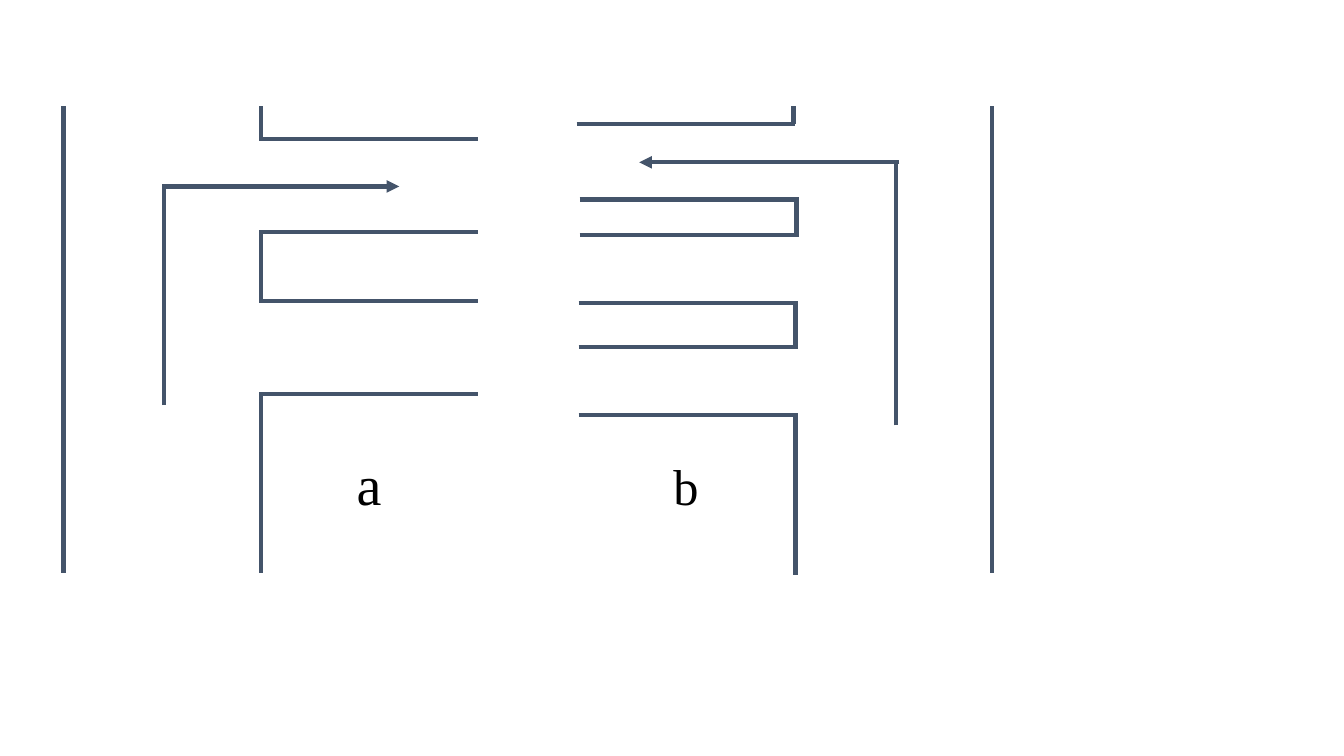
from lxml import etree
from pptx import Presentation
from pptx.dml.color import RGBColor
from pptx.enum.shapes import MSO_CONNECTOR
from pptx.oxml.ns import qn
from pptx.util import Inches, Pt

STRAIGHT = MSO_CONNECTOR.STRAIGHT
SLATE = RGBColor(0x44, 0x54, 0x6A)
BLACK = RGBColor(0, 0, 0)
FONT = "Times New Roman"
BRANCH_LENGTH = 2.17
VESSEL_TOP = 1.05
VESSEL_BOTTOM = 5.68

OUTER_WALLS = (0.63, 9.84)
LEFT_BRANCHES = [(2.57, y) for y in (3.91, 2.99, 2.3, 1.38)]
RIGHT_BRANCHES = [(5.74, 4.12), (5.74, 3.44), (5.74, 3.01),
                  (5.75, 2.33), (5.75, 1.98), (5.72, 1.23)]
INNER_WALLS = [
    (2.59, VESSEL_BOTTOM, 3.91), (2.59, 2.99, 2.3), (2.59, 1.38, VESSEL_TOP),
    (7.89, 5.7, 4.12), (7.89, 3.44, 3.01), (7.9, 2.33, 2),
    (7.87, 1.23, VESSEL_TOP),
]


def add_line(slide, x1, y1, x2, y2, arrow=False):
    line = slide.shapes.add_connector(
        STRAIGHT, Inches(x1), Inches(y1), Inches(x2), Inches(y2))
    line.line.color.rgb = SLATE
    line.line.width = Pt(3)
    if arrow:
        etree.SubElement(line.line._get_or_add_ln(), qn("a:tailEnd"),
                         type="triangle")
    etree.SubElement(line._element.spPr, qn("a:effectLst"))


def add_wall(slide, x, bottom, top):
    add_line(slide, x, bottom, x, top)


def add_branch(slide, left, y):
    add_line(slide, left, y, left + BRANCH_LENGTH, y)


def add_text(slide, text, left, top, width, height, size, color=BLACK):
    label = slide.shapes.add_textbox(
        Inches(left), Inches(top), Inches(width), Inches(height))
    label.text_frame.word_wrap = False
    run = label.text_frame.paragraphs[0].add_run()
    run.text = text
    run.font.name = FONT
    run.font.size = Pt(size)
    run.font.color.rgb = color


def main():
    prs = Presentation()
    prs.slide_width = Inches(13.33)
    prs.slide_height = Inches(7.5)
    slide = prs.slides.add_slide(prs.slide_layouts[6])

    for x in OUTER_WALLS:
        add_wall(slide, x, VESSEL_BOTTOM, 3.91)
        add_wall(slide, x, 3.93, VESSEL_TOP)
    for wall in INNER_WALLS:
        add_wall(slide, *wall)
    for branch in LEFT_BRANCHES + RIGHT_BRANCHES:
        add_branch(slide, *branch)

    add_wall(slide, 1.63, 4.02, 1.85)
    add_line(slide, 2.77, 1.85, 1.61, 1.85)
    add_line(slide, 2.77, 1.85, 3.96, 1.85, arrow=True)
    add_wall(slide, 8.89, 4.22, 1.61)
    add_line(slide, 8.92, 1.61, 6.34, 1.61, arrow=True)

    add_text(slide, "a", 3.44, 4.41, 0.46, 0.77, size=40)
    add_text(slide, "b", 6.58, 4.47, 0.46, 0.71, size=36)

    prs.save("out.pptx")


if __name__ == "__main__":
    main()
